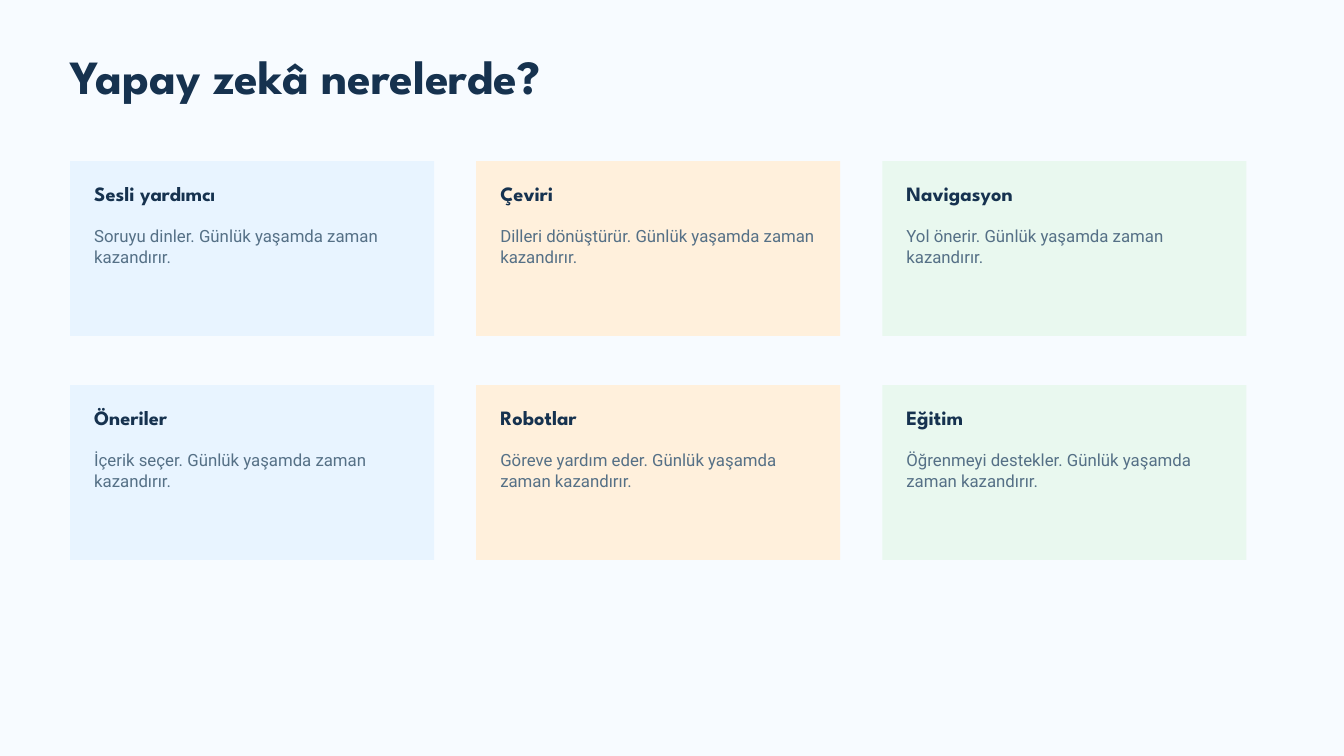
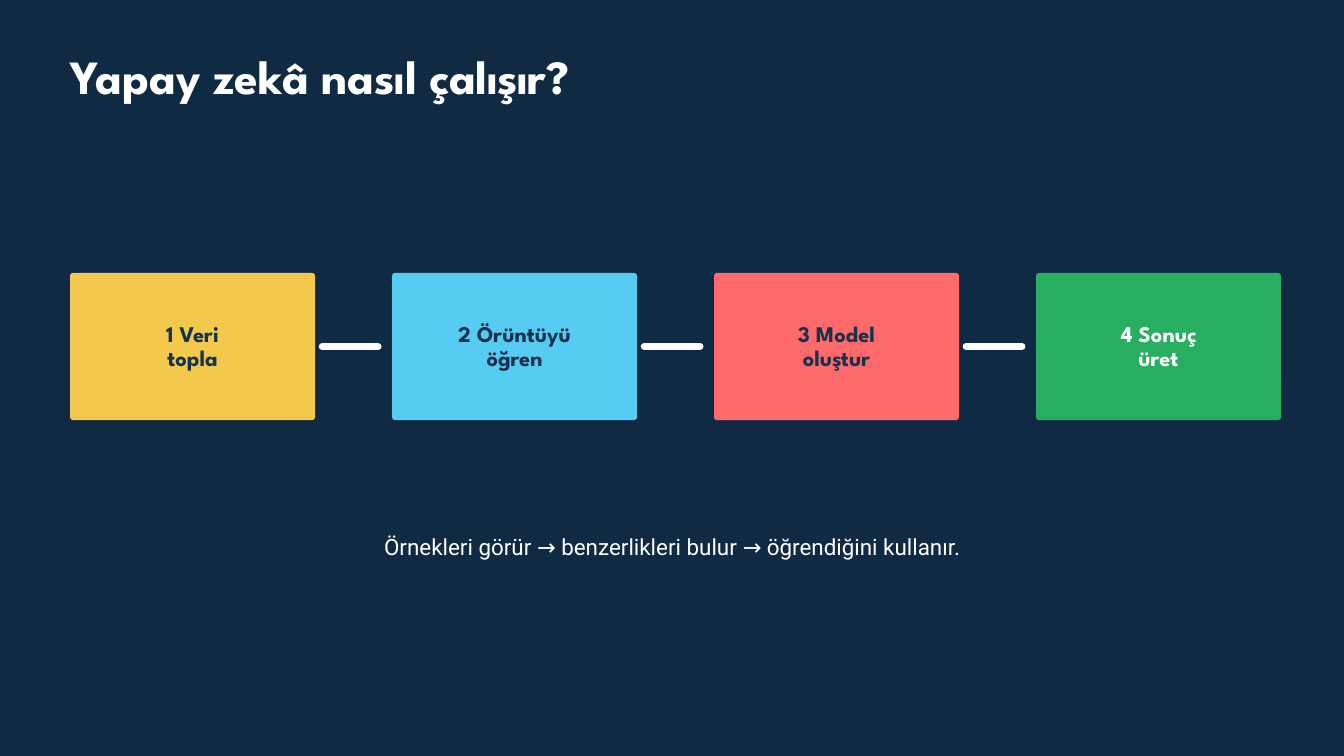
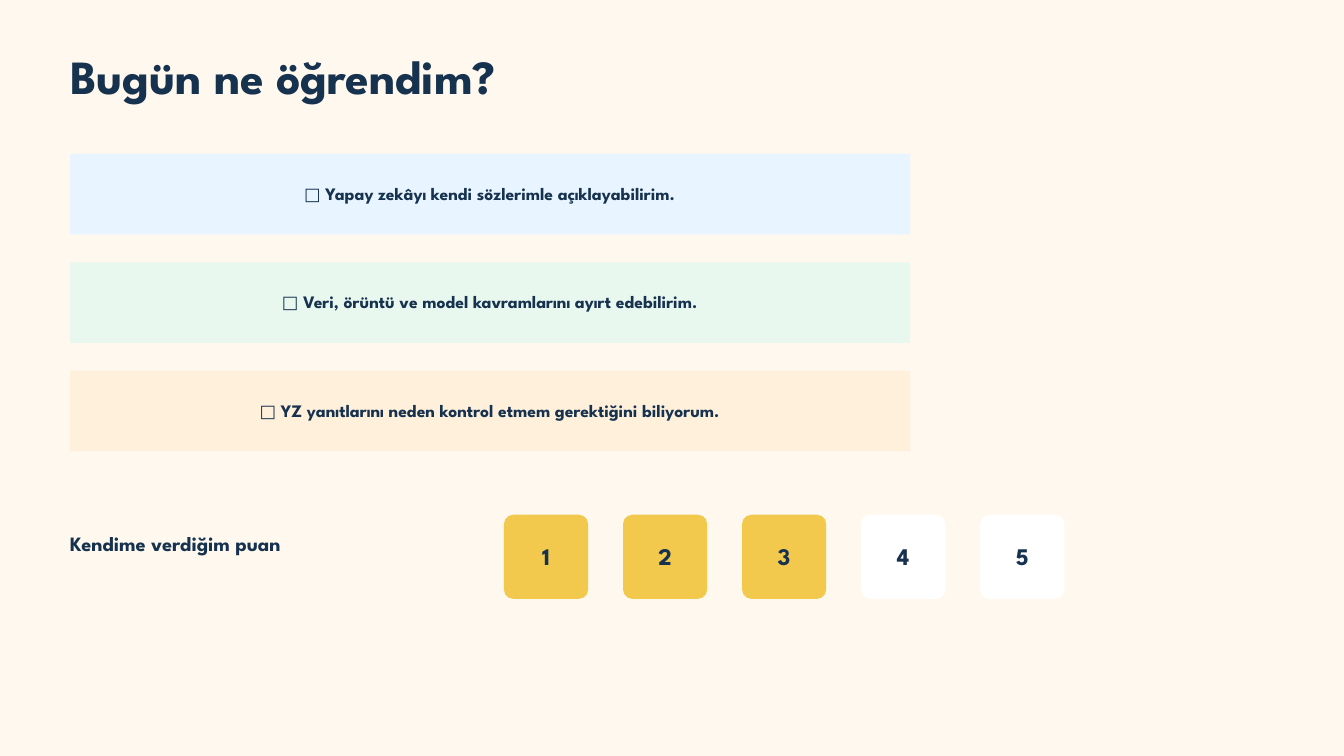
from pptx import Presentation
from pptx.dml.color import RGBColor
from pptx.enum.shapes import MSO_CONNECTOR, MSO_SHAPE
from pptx.enum.text import MSO_ANCHOR, PP_ALIGN
from pptx.oxml.xmlchemy import OxmlElement
from pptx.util import Cm, Pt

rgb = RGBColor.from_string
NAVY, SLATE, WHITE, YELLOW = "16324F", "557086", "FFFFFF", "F2C94C"
BLUE, PEACH, MINT = "E8F4FF", "FFF0DC", "E9F8EF"
HEAD, BODY = "League Spartan", "Roboto"
GAP = " "
LEFT = 2.65


def write(sp, text, size=21.8, leading=24.4, font=HEAD, color=NAVY,
          align=PP_ALIGN.LEFT, anchor=MSO_ANCHOR.TOP, inset=0):
    tf = sp.text_frame
    tf.word_wrap = True
    tf.vertical_anchor = anchor
    tf.margin_left = tf.margin_right = Cm(inset)
    tf.margin_top = tf.margin_bottom = Cm(inset)
    tf.text = text
    for p in tf.paragraphs:
        p.alignment = align
        p.line_spacing = Pt(leading)
        for r in p.runs:
            r.font.name = font
            r.font.size = Pt(size)
            r.font.bold = font == HEAD
            r.font.color.rgb = rgb(color)


def add_box(s, x, y, w, h, fill, radius=0):
    kind = MSO_SHAPE.ROUNDED_RECTANGLE if radius else MSO_SHAPE.RECTANGLE
    sp = s.shapes.add_shape(kind, Cm(x), Cm(y), Cm(w), Cm(h))
    if radius:
        sp.adjustments[0] = radius
    sp.shadow.inherit = False
    sp.fill.solid()
    sp.fill.fore_color.rgb = rgb(fill)
    sp.line.fill.background()
    return sp


prs = Presentation()
prs.slide_width, prs.slide_height = Cm(50.8), Cm(28.58)
centred = dict(align=PP_ALIGN.CENTER, anchor=MSO_ANCHOR.MIDDLE, inset=0.15)

slides = []
for title, background, color in [
    ("Yapay zekâ nerelerde?", "F7FBFF", NAVY),
    ("Yapay zekâ nasıl çalışır?", "102A43", WHITE),
    ("Bugün ne öğrendim?", "FFF8EE", NAVY),
]:
    s = prs.slides.add_slide(prs.slide_layouts[6])
    s.background.fill.solid()
    s.background.fill.fore_color.rgb = rgb(background)
    tb = s.shapes.add_textbox(Cm(LEFT), Cm(2.06), Cm(39.69), Cm(1.93))
    write(tb, title, size=51, leading=53.5, color=color)
    slides.append(s)
uses, process, review = slides

cards = [
    ("Sesli yardımcı", "Soruyu dinler."),
    ("Çeviri", "Dilleri dönüştürür."),
    ("Navigasyon", "Yol önerir."),
    ("Öneriler", "İçerik seçer."),
    ("Robotlar", "Göreve yardım eder."),
    ("Eğitim", "Öğrenmeyi destekler."),
]
for i, (heading, benefit) in enumerate(cards):
    row, col = divmod(i, 3)
    x, y = LEFT + col * 15.35, 6.09 + row * 8.47
    add_box(uses, x, y, 13.76, 6.61, (BLUE, PEACH, MINT)[col])
    tb = uses.shapes.add_textbox(Cm(x + 0.91), Cm(y + 0.82), Cm(11.96), Cm(0.89))
    write(tb, heading)
    tb = uses.shapes.add_textbox(Cm(x + 0.91), Cm(y + 2.42), Cm(11.96), Cm(1.57))
    write(tb, f"{benefit} Günlük yaşamda zaman kazandırır.",
          size=18, leading=22.5, font=BODY, color=SLATE)

steps = [
    ("Veri\ntopla", YELLOW, NAVY),
    ("Örüntüyü\nöğren", "56CCF2", NAVY),
    ("Model\noluştur", "FF6B6B", NAVY),
    ("Sonuç\nüret", "27AE60", WHITE),
]
for i, (step, fill, color) in enumerate(steps):
    x = LEFT + i * 12.17
    sp = add_box(process, x, 10.32, 9.26, 5.56, fill, radius=0.02)
    write(sp, f"{i + 1}{GAP}{step}", size=24, leading=26.4, color=color, **centred)
    if i < len(steps) - 1:
        link = process.shapes.add_connector(
            MSO_CONNECTOR.STRAIGHT, Cm(x + 9.53), Cm(13.1), Cm(x + 11.64), Cm(13.1))
        link.line.color.rgb = rgb(WHITE)
        link.line.width = Pt(7.5)
        link.line._get_or_add_ln().set("cap", "rnd")
        link._element.spPr.append(OxmlElement("a:effectLst"))

tb = process.shapes.add_textbox(Cm(7.41), Cm(19.97), Cm(36), Cm(1.12))
write(tb, "Örnekleri görür → benzerlikleri bulur → öğrendiğini kullanır.",
      size=24, leading=33.6, font=BODY, color=WHITE, align=PP_ALIGN.CENTER)

goals = [
    ("Yapay zekâyı kendi sözlerimle açıklayabilirim.", BLUE),
    ("Veri, örüntü ve model kavramlarını ayırt edebilirim.", MINT),
    ("YZ yanıtlarını neden kontrol etmem gerektiğini biliyorum.", PEACH),
]
for i, (goal, fill) in enumerate(goals):
    sp = add_box(review, LEFT, 5.82 + i * 4.1, 31.75, 3.04, fill, radius=0.01)
    write(sp, f"□{GAP}{goal}", size=18.8, leading=20.6, **centred)

tb = review.shapes.add_textbox(Cm(LEFT), Cm(20.13), Cm(14.56), Cm(0.89))
write(tb, "Kendime verdiğim puan")
for score in range(1, 6):
    fill = YELLOW if score <= 3 else WHITE
    sp = add_box(review, 14.55 + score * 4.5, 19.46, 3.18, 3.18, fill, radius=0.11)
    write(sp, str(score), size=25.5, leading=28.1, **centred)

prs.save("out.pptx")
